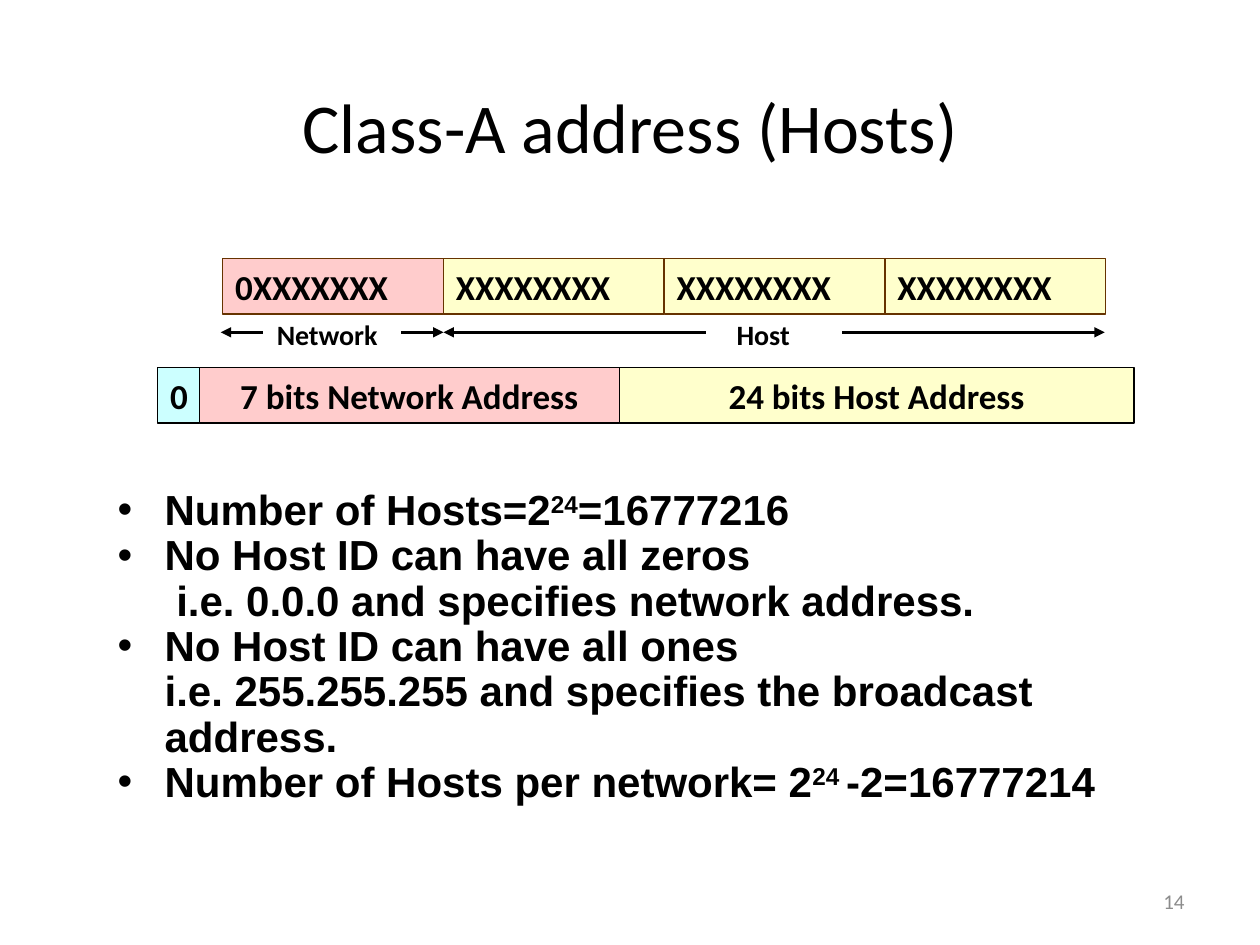
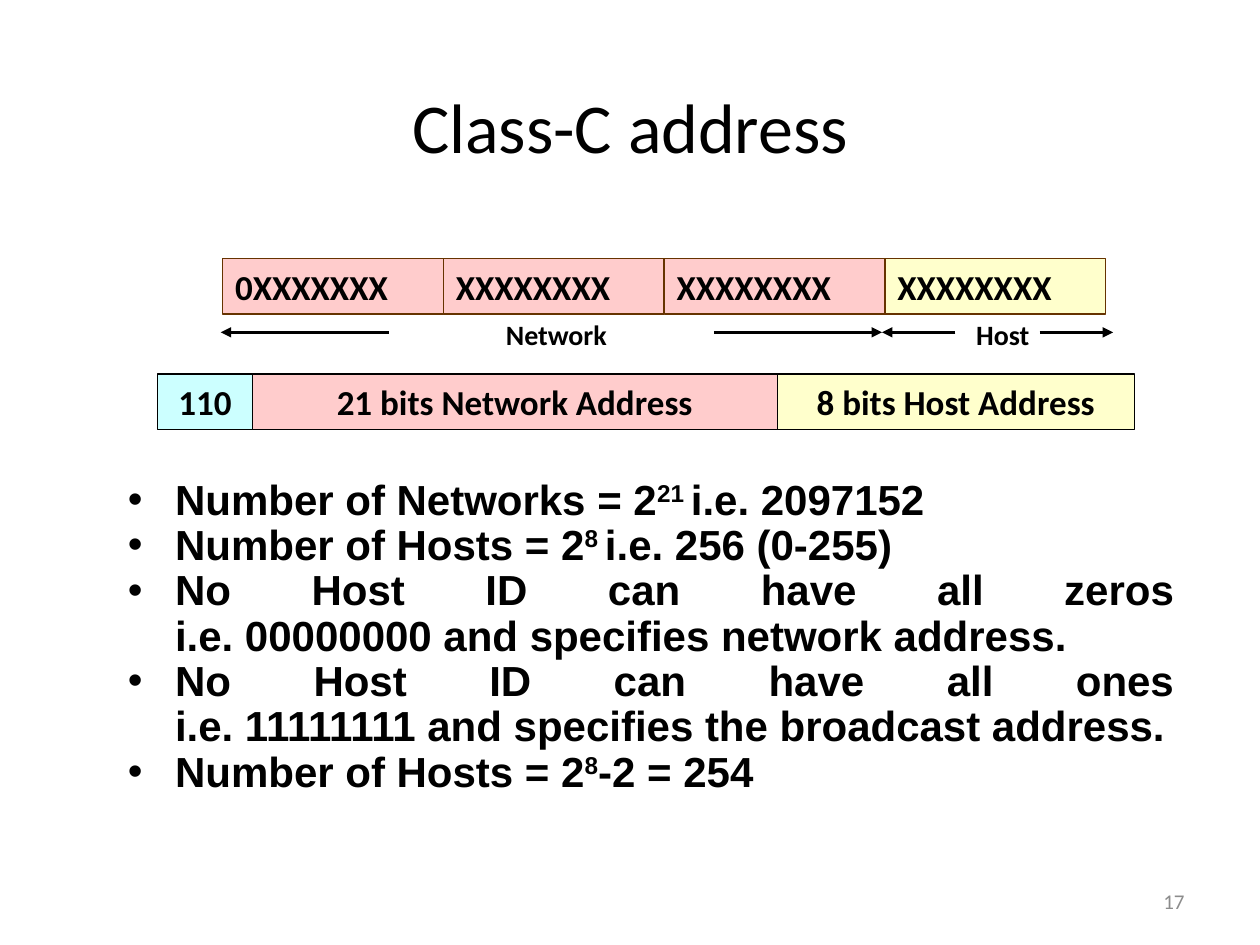
from lxml.etree import SubElement
from pptx import Presentation
from pptx.dml.color import RGBColor
from pptx.enum.shapes import MSO_CONNECTOR, MSO_SHAPE
from pptx.enum.text import MSO_ANCHOR as Anchor, PP_ALIGN as Align
from pptx.oxml.ns import qn
from pptx.util import Cm, Pt

BLACK = RGBColor(0x00, 0x00, 0x00)
GREY = RGBColor(0x8C, 0x8C, 0x8C)
BROWN = RGBColor(0x66, 0x33, 0x00)
PREFIX_BLUE = RGBColor(0xCC, 0xFF, 0xFF)
NETWORK_PINK = RGBColor(0xFF, 0xCC, 0xCC)
HOST_YELLOW = RGBColor(0xFF, 0xFF, 0xCC)

OCTETS = ["0XXXXXXX"] + ["XXXXXXXX"] * 3
OCTET_LEFT, OCTET_TOP, OCTET_WIDTH = 4.49, 5.21, 4.45
FIELD_LEFT = 3.18
CELL_HEIGHT = 1.12
ARROW_Y = 6.7


class AddressDeck:
    """Holds the shared style and the slide being built."""

    def __init__(self):
        self.presentation = Presentation()
        self.presentation.slide_width = Cm(25.4)
        self.presentation.slide_height = Cm(19.05)
        self.slide = None

    def start_slide(self, title, number):
        """Add a blank slide with its title and page number."""
        layout = self.presentation.slide_layouts[6]
        self.slide = self.presentation.slides.add_slide(layout)
        self.text((1.91, 1.06, 21.59, 2.96), title, 40, Align.CENTER)
        self.text((18.2, 17.65, 5.93, 1.02), number, 12, Align.RIGHT, GREY)

    def style_run(self, run, size, color=BLACK, bold=False, font="Calibri"):
        """Apply font settings to one run."""
        run.font.name = font
        run.font.size = Pt(size)
        run.font.bold = bold
        run.font.color.rgb = color

    def fill_text(self, shape, text, size, align, color=BLACK, bold=False):
        """Put one styled paragraph into a shape."""
        frame = shape.text_frame
        frame.text = text
        frame.word_wrap = True
        frame.vertical_anchor = Anchor.MIDDLE
        paragraph = frame.paragraphs[0]
        paragraph.alignment = align
        self.style_run(paragraph.runs[0], size, color, bold)

    def text(self, box, text, size, align, color=BLACK, bold=False):
        """Add a text box."""
        shape = self.slide.shapes.add_textbox(*map(Cm, box))
        self.fill_text(shape, text, size, align, color, bold)

    def cell(self, left, top, width, text, fill, line, align):
        """Add one outlined cell of an address bar."""
        shape = self.slide.shapes.add_shape(
            MSO_SHAPE.RECTANGLE, Cm(left), Cm(top), Cm(width), Cm(CELL_HEIGHT))
        shape.shadow.inherit = False
        shape.fill.solid()
        shape.fill.fore_color.rgb = fill
        shape.line.color.rgb = line
        shape.line.width = Pt(0.75)
        self.fill_text(shape, text, 20, align, bold=True)

    def octets(self, network_count):
        """Add the four octets, the first ones coloured as network."""
        for index, octet in enumerate(OCTETS):
            fill = NETWORK_PINK if index < network_count else HOST_YELLOW
            self.cell(OCTET_LEFT + index * OCTET_WIDTH, OCTET_TOP, OCTET_WIDTH,
                      octet, fill, BROWN, Align.LEFT)

    def fields(self, top, fields):
        """Add the prefix, network and host fields side by side."""
        left = FIELD_LEFT
        fills = (PREFIX_BLUE, NETWORK_PINK, HOST_YELLOW)
        for (text, width), fill in zip(fields, fills):
            self.cell(left, top, width, text, fill, BLACK, Align.CENTER)
            left += width

    def arrow(self, start, end):
        """Add a horizontal arrow pointing at its end."""
        connector = self.slide.shapes.add_connector(
            MSO_CONNECTOR.STRAIGHT, Cm(start), Cm(ARROW_Y), Cm(end), Cm(ARROW_Y))
        connector.line.color.rgb = BLACK
        connector.line.width = Pt(1.5)
        properties = connector.element.spPr
        SubElement(properties.find(qn("a:ln")), qn("a:tailEnd"), type="triangle")
        SubElement(properties, qn("a:effectLst"))

    def span(self, label, label_left, start, end, length, align):
        """Add a label between two arrows that point outwards."""
        self.text((label_left, 6.27, 2.75, 0.94), label, 16, align, bold=True)
        self.arrow(start + length, start)
        self.arrow(end - length, end)

    def bullets(self, box, items, align):
        """Add bullets, with superscripts written between carets."""
        frame = self.slide.shapes.add_textbox(*map(Cm, box)).text_frame
        frame.word_wrap = True
        for index, item in enumerate(items):
            paragraph = frame.add_paragraph() if index else frame.paragraphs[0]
            first, *others = item.split("^")
            paragraph.text = first
            for position, piece in enumerate(others):
                run = paragraph.add_run()
                run.text = piece
                if position % 2 == 0:
                    run.font._element.set("baseline", "30000")
            properties = paragraph._p.get_or_add_pPr()
            properties.set("marL", str(Cm(0.95)))
            properties.set("indent", str(-Cm(0.95)))
            SubElement(properties, qn("a:buFont"), typeface="Arial")
            SubElement(properties, qn("a:buChar"), char="•")
            paragraph.alignment = align
            paragraph.line_spacing = 0.9
            for run in paragraph.runs:
                self.style_run(run, 24, bold=True, font="Arial")


def main():
    deck = AddressDeck()

    deck.start_slide("Class-A address (Hosts)", "14")
    deck.bullets((2.12, 9.74, 22.01, 6.77), [
        "Number of Hosts=2^24^=16777216",
        "No Host ID can have all zeros\v i.e. 0.0.0 and specifies network address.",
        "No Host ID can have all ones\v"
        "i.e. 255.255.255 and specifies the broadcast address.",
        "Number of Hosts per network= 2^24 ^-2=16777214",
    ], Align.LEFT)
    deck.octets(1)
    deck.span("Network", 5.33, 4.45, 8.94, 0.85, Align.LEFT)
    deck.span("Host", 14.01, 8.94, 22.27, 5.29, Align.CENTER)
    deck.fields(7.41, [("0", 0.84), ("7 bits Network Address", 8.47),
                       ("24 bits Host Address", 10.37)])

    deck.start_slide("Class-C address", "17")
    deck.bullets((2.33, 9.53, 21.59, 7.62), [
        "Number of Networks = 2^21 ^i.e. 2097152",
        "Number of Hosts = 2^8 ^i.e. 256 (0-255)",
        "No Host ID can have all zeros\v"
        "i.e. 00000000 and specifies network address.",
        "No Host ID can have all ones\v"
        "i.e. 11111111 and specifies the broadcast address.",
        "Number of Hosts = 2^8^-2 = 254",
    ], Align.JUSTIFY)
    deck.octets(3)
    deck.span("Network", 9.95, 4.45, 17.78, 3.39, Align.LEFT)
    deck.span("Host", 18.84, 17.78, 22.44, 1.48, Align.CENTER)
    deck.fields(7.54, [("110", 1.91), ("21 bits Network Address", 10.58),
                       ("8 bits Host Address", 7.2)])

    deck.presentation.save("out.pptx")


if __name__ == "__main__":
    main()
